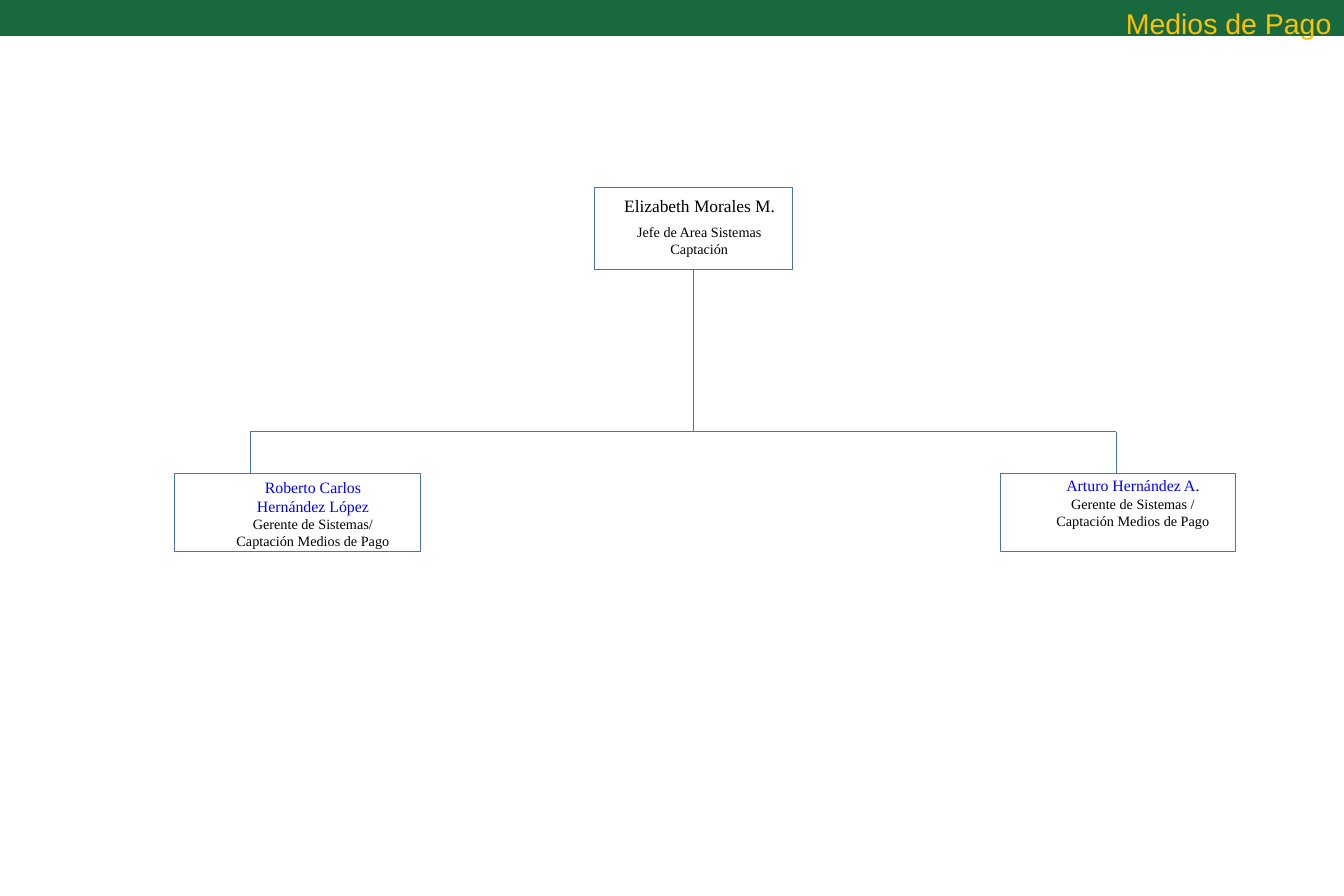
"""Build the Medios de Pago organisation chart slide."""
from dataclasses import dataclass

from lxml.etree import SubElement
from pptx import Presentation
from pptx.dml.color import RGBColor
from pptx.enum.shapes import MSO_CONNECTOR as Connector, MSO_SHAPE as Shape
from pptx.enum.text import MSO_AUTO_SIZE as AutoSize, PP_ALIGN as Align
from pptx.oxml.ns import qn
from pptx.util import Inches, Pt


@dataclass(frozen=True)
class Theme:
    green: str = "19693F"
    gold: str = "FFC000"
    blue: str = "4472C4"
    name_blue: str = "0000FF"
    black: str = "000000"
    white: str = "FFFFFF"
    title_font: str = "Arial"
    body_font: str = "Times New Roman"
    title_size: int = 36
    head_size: int = 22
    name_size: int = 20
    role_size: int = 18
    border: float = 0.5
    branch: float = 1


THEME = Theme()
SLIDE_SIZE = (23.62, 15.75)
TITLE = "Medios de Pago"
HEAD_NAME = [[("Elizabeth Morales M.", THEME.head_size, THEME.black)]]
HEAD_ROLE = [[("Jefe de Area Sistemas Captación", THEME.role_size, THEME.black)]]
ARTURO = [
    [("Arturo Hernández A", THEME.name_size, THEME.name_blue),
     (".", THEME.name_size, THEME.black)],
    [("Gerente de Sistemas / Captación Medios de Pago", THEME.role_size, THEME.black)],
]
ROBERTO = [
    [("Roberto Carlos", THEME.name_size, THEME.name_blue)],
    [("Hernández López", THEME.name_size, THEME.name_blue)],
    [("Gerente de Sistemas/", THEME.role_size, THEME.black)],
    [("Captación Medios de Pago", THEME.role_size, THEME.black)],
]
CARDS = [
    {"box": (10.44, 3.29, 3.49, 1.44),
     "texts": [((10.75, 3.38, 3.09, 0.47), HEAD_NAME, False),
               ((10.73, 3.87, 3.12, 0.71), HEAD_ROLE, True)]},
    {"box": (17.58, 8.32, 4.13, 1.37),
     "texts": [((18.24, 8.32, 3.34, 1.38), ARTURO, True)]},
    {"box": (3.06, 8.32, 4.33, 1.37),
     "texts": [((3.61, 8.34, 3.78, 1.72), ROBERTO, True)]},
]
BRANCH_TOP = 7.59
BRANCH_LEFT, BRANCH_RIGHT = 4.4, 19.62


def add_line(shapes, start, end):
    line = shapes.add_connector(Connector.STRAIGHT, *map(Inches, start + end))
    line.line.color.rgb = RGBColor.from_string(THEME.blue)
    line.line.width = Pt(THEME.branch)
    SubElement(line._element.spPr, qn("a:effectLst"))


def add_box(shapes, area, fill, border=None):
    box = shapes.add_shape(Shape.RECTANGLE, *map(Inches, area))
    box.shadow.inherit = False
    box.fill.solid()
    box.fill.fore_color.rgb = RGBColor.from_string(fill)
    if border:
        box.line.color.rgb = RGBColor.from_string(border)
        box.line.width = Pt(THEME.border)
    else:
        box.line.fill.background()


def add_text(shapes, area, paragraphs, font=THEME.body_font, align=Align.CENTER,
             wrap=True, insets=(0.1, 0.05)):
    frame = shapes.add_textbox(*map(Inches, area)).text_frame
    frame.word_wrap = wrap
    frame.auto_size = AutoSize.SHAPE_TO_FIT_TEXT
    frame.margin_left = frame.margin_right = Inches(insets[0])
    frame.margin_top = frame.margin_bottom = Inches(insets[1])
    for index, runs in enumerate(paragraphs):
        paragraph = frame.add_paragraph() if index else frame.paragraphs[0]
        paragraph.alignment = align
        for text, size, color in runs:
            run = paragraph.add_run()
            run.text = text
            run.font.name = font
            run.font.size = Pt(size)
            run.font.color.rgb = RGBColor.from_string(color)


def main():
    presentation = Presentation()
    presentation.slide_width, presentation.slide_height = map(Inches, SLIDE_SIZE)
    slide = presentation.slides.add_slide(presentation.slide_layouts[6])
    shapes = slide.shapes

    left, top, width, height = CARDS[0]["box"]
    center = left + width / 2
    add_line(shapes, (center, top + height), (center, BRANCH_TOP))
    add_line(shapes, (BRANCH_LEFT, BRANCH_TOP), (BRANCH_RIGHT, BRANCH_TOP))
    for x in (BRANCH_LEFT, BRANCH_RIGHT):
        add_line(shapes, (x, BRANCH_TOP), (x, CARDS[1]["box"][1]))

    for card in CARDS:
        group = shapes.add_group_shape().shapes
        add_box(group, card["box"], THEME.white, THEME.blue)
        for area, paragraphs, wrap in card["texts"]:
            add_text(group, area, paragraphs, wrap=wrap)

    add_box(shapes, (0, -0.06, SLIDE_SIZE[0], 0.69), THEME.green)
    add_text(shapes, (15.31, 0, 8.31, 0.83), [[(TITLE, THEME.title_size, THEME.gold)]],
             font=THEME.title_font, align=Align.RIGHT, insets=(0.22, 0.11))
    presentation.save("out.pptx")


if __name__ == "__main__":
    main()
